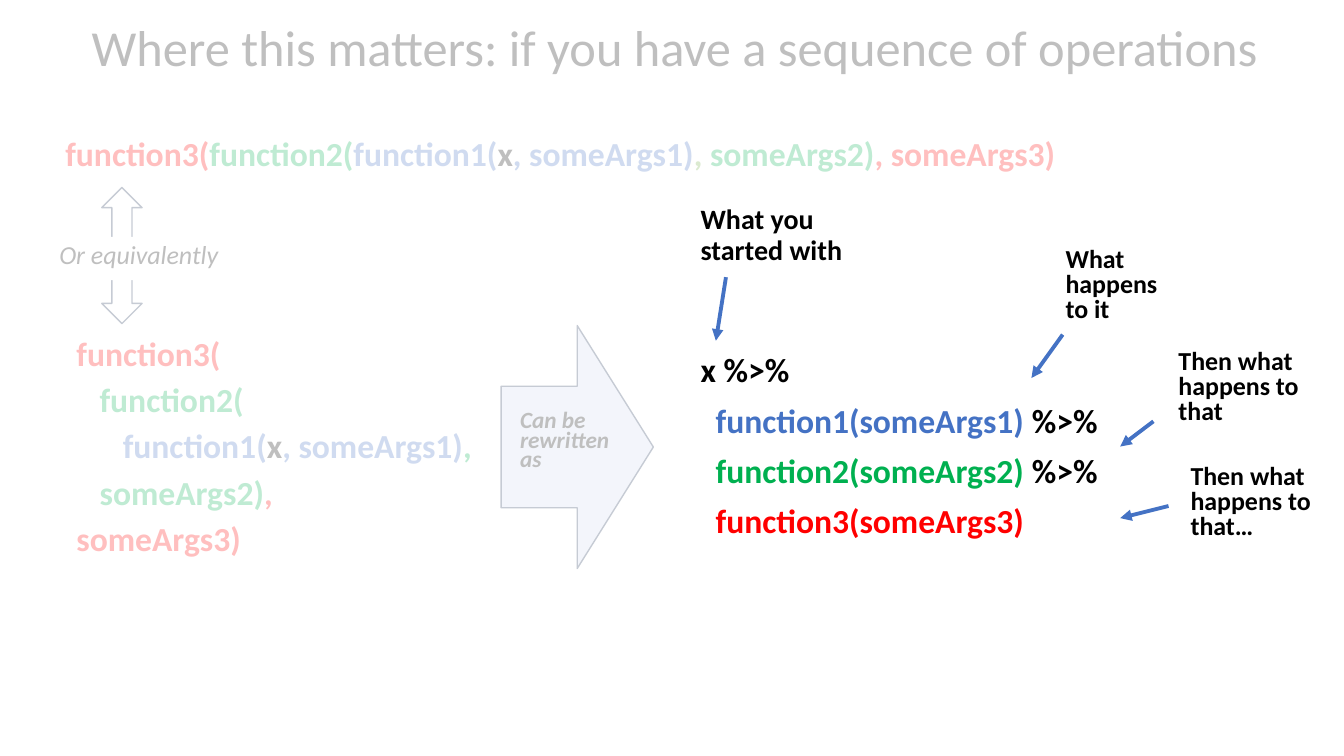
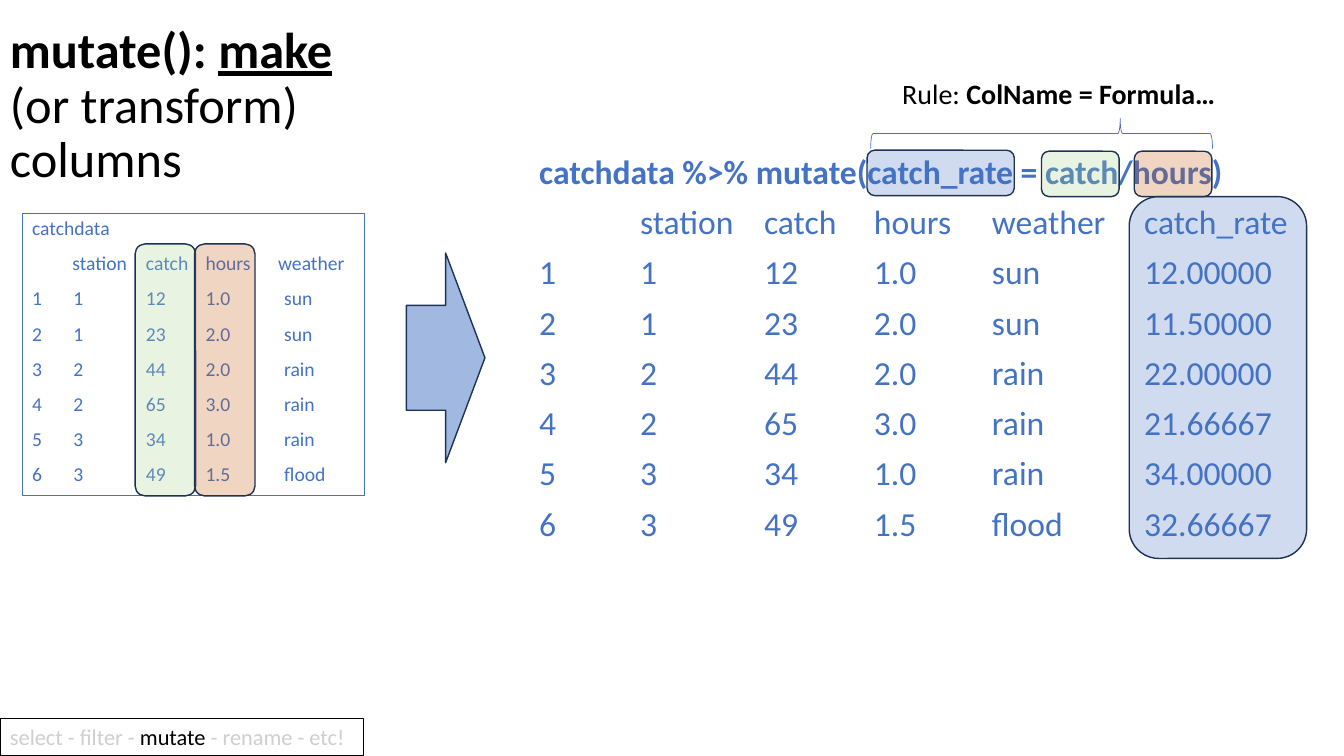
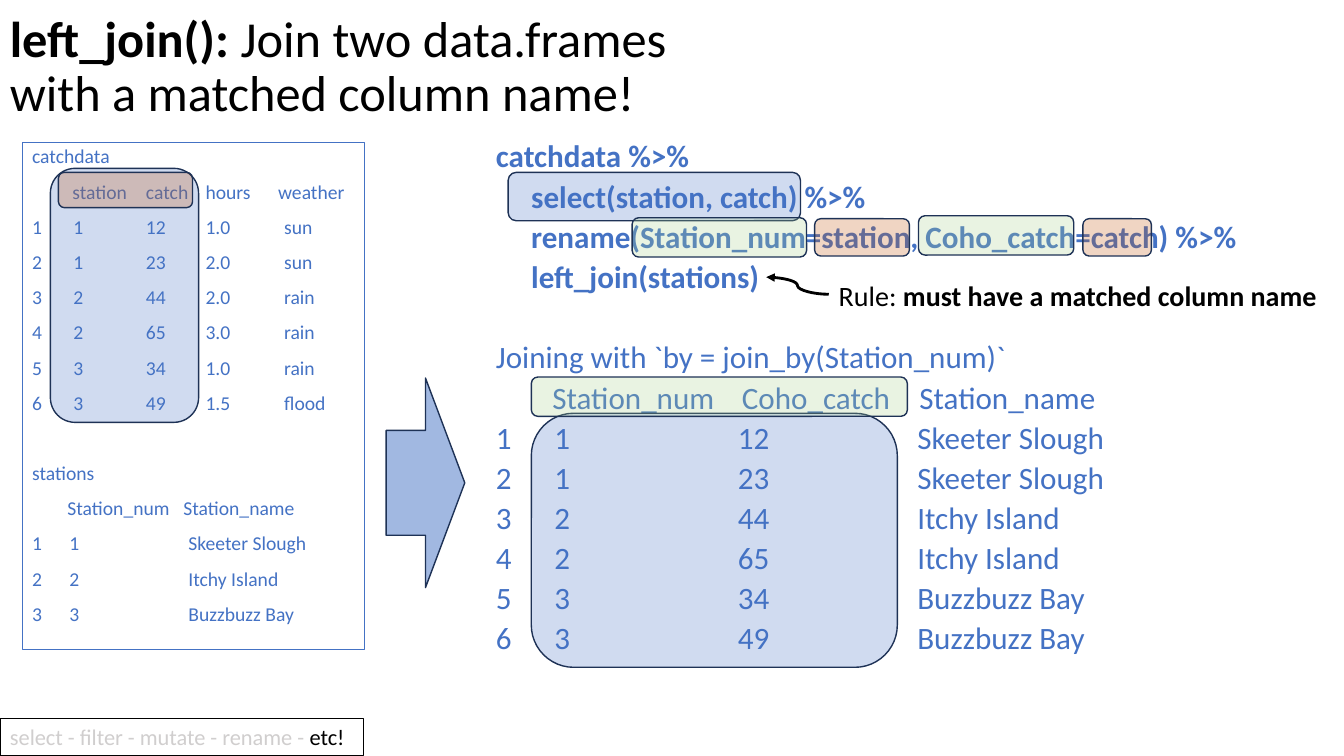
from collections import namedtuple
from dataclasses import dataclass

from lxml.etree import SubElement
from pptx import Presentation
from pptx.dml.color import RGBColor
from pptx.enum.shapes import MSO_CONNECTOR, MSO_SHAPE
from pptx.enum.text import MSO_ANCHOR, PP_ALIGN
from pptx.oxml.ns import qn
from pptx.util import Pt

RECTANGLE = MSO_SHAPE.RECTANGLE
ROUNDED = MSO_SHAPE.ROUNDED_RECTANGLE
RIGHT_ARROW = MSO_SHAPE.RIGHT_ARROW
UP_DOWN_ARROW = MSO_SHAPE.UP_DOWN_ARROW
LEFT_BRACE = MSO_SHAPE.LEFT_BRACE
STRAIGHT = MSO_CONNECTOR.STRAIGHT
CURVE = MSO_CONNECTOR.CURVE
TOP = MSO_ANCHOR.TOP
MIDDLE = MSO_ANCHOR.MIDDLE
LEFT = PP_ALIGN.LEFT
EMU_PER_PX = 9144


@dataclass(frozen=True)
class Theme:
    """Colours, font and type sizes of the deck."""
    font: str = "Calibri"
    black: str = "000000"
    white: str = "FFFFFF"
    blue: str = "4472C4"
    navy: str = "1E3256"
    red: str = "FF0000"
    green: str = "00B050"
    leaf: str = "70AD47"
    lime: str = "A9D18E"
    rust: str = "C55A11"
    grey: str = "D0CECE"
    title: float = 36
    code: float = 24
    join: float = 22.2
    label: float = 20
    note: float = 18.5
    arrow: float = 16.6
    footer: float = 16
    data: float = 14


THEME = Theme()
Span = namedtuple("Span", "text color marks", defaults=(THEME.black, ""))
Line = namedtuple("Line", "spans indent stops before", defaults=(0, (), 10))

STEPS = ("select", "filter", "mutate", "rename", "etc!")
CATCH_HEAD = ("", "station", "catch", "hours", "weather")
CATCHES = (
    (1, 1, 12, 1.0, "sun"), (2, 1, 23, 2.0, "sun"), (3, 2, 44, 2.0, "rain"),
    (4, 2, 65, 3.0, "rain"), (5, 3, 34, 1.0, "rain"), (6, 3, 49, 1.5, "flood"),
)
STATIONS = {1: "Skeeter Slough", 2: "Itchy Island", 3: "Buzzbuzz Bay"}


def px(length):
    """Turn px into EMU."""
    return length * EMU_PER_PX


def plain(text, color=THEME.black, marks="", **layout):
    """Return a line made of one span."""
    return Line([Span(text, color, marks)], **layout)


def columns(head, rows, head_stops, row_stops):
    """Return a header and its rows as lines set on tab stops."""
    stops = [head_stops] + [row_stops] * len(rows)
    return [plain("\t".join(map(str, row)), THEME.blue, stops=at)
            for row, at in zip([head, *rows], stops)]


def catch_lines():
    """Return the catch data with its name."""
    return [plain("catchdata", THEME.blue)] + columns(
        CATCH_HEAD, CATCHES, (40, 113, 172, 244), (41, 113, 172, 250))


class Board:
    """Draws the elements of the deck on the current slide."""

    def __init__(self, deck, theme):
        self.deck = deck
        self.theme = theme
        self.slide = None

    def new_slide(self):
        """Start a blank slide."""
        self.slide = self.deck.slides.add_slide(self.deck.slide_layouts[6])

    def set_lines(self, shape, lines, size, spacing=0.9, anchor=TOP):
        """Fill a shape with formatted lines."""
        frame = shape.text_frame
        frame.word_wrap = True
        frame.vertical_anchor = anchor
        for number, line in enumerate(lines):
            para = frame.add_paragraph() if number else frame.paragraphs[0]
            para.alignment = LEFT
            para.line_spacing = spacing
            para.space_before = Pt(line.before)
            properties = para._p.get_or_add_pPr()
            if line.indent:
                properties.set("marL", str(px(line.indent)))
                properties.set("indent", "0")
            if line.stops:
                tabs = SubElement(properties, qn("a:tabLst"))
                for stop in line.stops:
                    SubElement(tabs, qn("a:tab"), pos=str(px(stop)), algn="l")
            for span in line.spans:
                run = para.add_run()
                run.text = span.text
                font = run.font
                font.name = self.theme.font
                font.size = Pt(size)
                font.color.rgb = RGBColor.from_string(span.color)
                font.bold = "b" in span.marks
                font.italic = "i" in span.marks
                font.underline = "u" in span.marks

    def text(self, at, lines, size, spacing=0.9, anchor=TOP):
        """Add a text box."""
        box = self.slide.shapes.add_textbox(*map(px, at))
        self.set_lines(box, lines, size, spacing, anchor)

    def title(self, at, spans):
        """Add the slide title."""
        self.text(at, [Line(spans, before=0)], self.theme.title, anchor=MIDDLE)

    def shape(self, kind, at, fill=None, opacity=100, line=None, width=1):
        """Add a preset shape."""
        shape = self.slide.shapes.add_shape(kind, *map(px, at))
        shape.shadow.inherit = False
        if fill:
            shape.fill.solid()
            shape.fill.fore_color.rgb = RGBColor.from_string(fill)
            color = shape.element.spPr.find(qn("a:solidFill"))[0]
            SubElement(color, qn("a:alpha"), val=str(opacity * 1000))
        else:
            shape.fill.background()
        if line:
            shape.line.color.rgb = RGBColor.from_string(line)
            shape.line.width = Pt(width)
        else:
            shape.line.fill.background()
        return shape

    def highlight(self, color, *places):
        """Mark places with see-through rounded boxes."""
        for at in places:
            self.shape(ROUNDED, at, color, 25, self.theme.navy)

    def block_arrow(self, at, opacity=50):
        """Add a wide arrow to the right."""
        self.shape(RIGHT_ARROW, at, self.theme.blue, opacity, self.theme.navy)

    def panel(self, at, lines):
        """Add the framed source data."""
        frame = self.shape(RECTANGLE, at, line=self.theme.blue, width=0.75)
        self.set_lines(frame, lines, self.theme.data)

    def pointer(self, ends, color, width, kind=STRAIGHT):
        """Add a line that ends in an arrowhead."""
        connector = self.slide.shapes.add_connector(kind, *map(px, ends))
        connector.line.color.rgb = RGBColor.from_string(color)
        connector.line.width = Pt(width)
        properties = connector.element.spPr
        SubElement(properties.find(qn("a:ln")), qn("a:tailEnd"), type="triangle")
        SubElement(properties, qn("a:effectLst"))

    def rule(self, at, text):
        """Add a rule note."""
        self.text(at, [Line([Span("Rule: "), Span(text, marks="b")])], self.theme.label)

    def footer(self, current):
        """Add the list of steps with the current one in black."""
        before, after = " - ".join(STEPS).split(current)
        spans = [Span(before, self.theme.grey), Span(current), Span(after, self.theme.grey)]
        box = self.shape(RECTANGLE, (0, 713, 361, 37), line=self.theme.black, width=0.75)
        self.set_lines(box, [Line([span for span in spans if span.text], before=0)],
                       self.theme.footer, spacing=1)


def sequence_slide(board):
    """Draw nested calls next to the piped form."""
    red, green, blue = THEME.red, THEME.green, THEME.blue
    outer, middle = Span("function3(", red, "b"), Span("function2(", green, "b")
    inner = [Span("function1(", blue, "b"), Span("x", marks="b"),
             Span(", someArgs1)", blue, "b")]
    pipe = Span(" %>%", marks="b")

    board.new_slide()
    board.block_arrow((497, 323, 151, 241), 25)
    board.title((81, 0, 1238, 100),
                [Span("Where this matters: if you have a sequence of operations")])
    board.text((55, 131, 1219, 55), [Line([
        outer, middle, *inner, Span(", ", THEME.leaf, "b"),
        Span("someArgs2)", green, "b"), Span(", someArgs3)", red, "b")])], THEME.code)
    board.text((66, 333, 451, 243), [
        Line([outer]),
        Line([middle], 23),
        Line([*inner, Span(",", green, "b")], 46),
        Line([Span("someArgs2)", green, "b"), Span(",", red, "b")], 23),
        plain("someArgs3)", red, "b"),
    ], THEME.code, 0.8)
    board.text((506, 405, 124, 78), [plain("Can be rewritten as", marks="bi")],
               THEME.arrow, 0.7)
    board.shape(UP_DOWN_ARROW, (101, 186, 40, 135), line=THEME.navy)
    link = board.shape(RECTANGLE, (49, 235, 184, 43), THEME.white)
    board.set_lines(link, [plain("Or equivalently", marks="i")], THEME.note)
    board.shape(RECTANGLE, (21, 0, 1257, 750), THEME.white, 75)

    board.text((685, 346, 423, 218), [
        Line([Span("x", marks="b"), pipe]),
        Line([Span("function1(someArgs1)", blue, "b"), pipe], 15),
        Line([Span("function2(someArgs2)", green, "b"), pipe], 15),
        plain("function3(someArgs3)", red, "b", indent=15),
    ], THEME.code)
    board.text((685, 199, 172, 71), [plain("What you started with", marks="b")], THEME.label)
    for at, note in (
        ((1047, 242, 122, 90), "What happens to it"),
        ((1159, 343, 140, 90), "Then what happens to that"),
        ((1171, 457, 140, 90), "Then what happens to that…"),
    ):
        board.text(at, [plain(note, marks="b")], THEME.note, 0.8)
    for ends in ((720, 275, 710, 338), (1054, 332, 1023, 375),
                 (1144, 418, 1111, 443), (1159, 502, 1111, 514)):
        board.pointer(ends, blue, 2.75)


def mutate_slide(board):
    """Draw a new column made from two others."""
    rated = [(*row, f"{row[2] / row[3]:.5f}") for row in CATCHES]
    stops = (100, 223, 332, 449, 600)

    board.new_slide()
    board.title((0, 0, 385, 212), [Span("mutate(): ", marks="b"), Span("make", marks="bu"),
                                   Span(" (or transform) columns")])
    board.rule((885, 75, 430, 42), "ColName = Formula…")
    board.panel((22, 212, 340, 280), catch_lines())
    board.text((525, 149, 790, 483), [
        plain("catchdata %>% mutate(catch_rate = catch/hours)", THEME.blue, "b"),
        *columns((*CATCH_HEAD, "catch_rate"), rated, stops, stops),
    ], THEME.code)
    brace = board.shape(LEFT_BRACE, (1018, -37, 30, 339), line=THEME.blue, width=0.5)
    brace.rotation = 90
    brace.adjustments[0] = 0.08
    brace.adjustments[1] = 0.27
    board.block_arrow((403, 251, 78, 208))
    board.highlight(THEME.lime, (134, 242, 60, 250), (1033, 150, 77, 45))
    board.highlight(THEME.rust, (193, 242, 60, 250), (1125, 150, 77, 45))
    board.highlight(THEME.blue, (1120, 195, 176, 359), (860, 149, 146, 45))
    board.footer("mutate")


def join_slide(board):
    """Draw two data frames joined by station."""
    joined = [(number, station, catch, STATIONS[station])
              for number, station, catch, *_ in CATCHES]
    stations = [(number, number, name) for number, name in STATIONS.items()]
    calls = ("select(station, catch) %>%",
             "rename(Station_num=station, Coho_catch=catch) %>%",
             "left_join(stations)")

    board.new_slide()
    board.text((482, 141, 772, 537), [
        plain("catchdata %>%", THEME.blue, "b"),
        *[plain(call, THEME.blue, "b", indent=35) for call in calls],
        plain("Joining with `by = join_by(Station_num)`", THEME.blue, before=39),
        *columns(("", "Station_num", "Coho_catch", "Station_name"), joined,
                 (56, 244, 420), (58, 240, 418)),
    ], THEME.join, 0.7)
    board.title((0, 0, 724, 135), [
        Span("left_join(): ", marks="b"),
        Span("Join two data.frames with a matched column name!")])
    board.rule((822, 275, 512, 42), "must have a matched column name")
    board.panel((22, 141, 340, 503), [
        *catch_lines(),
        plain("stations", THEME.blue, before=35),
        *columns(("", "Station_num", "Station_name"), stations, (35, 150), (37, 155)),
    ])
    board.pointer((822, 292, 760, 275), THEME.black, 2, CURVE)
    board.block_arrow((383, 375, 78, 208))
    board.highlight(THEME.blue, (50, 167, 147, 252), (504, 171, 290, 48),
                    (527, 410, 363, 252))
    board.highlight(THEME.rust, (58, 171, 133, 35), (808, 217, 94, 37),
                    (1074, 217, 68, 37))
    board.highlight(THEME.lime, (627, 216, 173, 39), (911, 214, 154, 39),
                    (527, 374, 373, 39))
    board.footer("etc!")


def main():
    """Build and save the deck."""
    deck = Presentation()
    deck.slide_width = px(1333)
    deck.slide_height = px(750)
    board = Board(deck, THEME)
    for draw in (sequence_slide, mutate_slide, join_slide):
        draw(board)
    deck.save("out.pptx")


if __name__ == "__main__":
    main()
